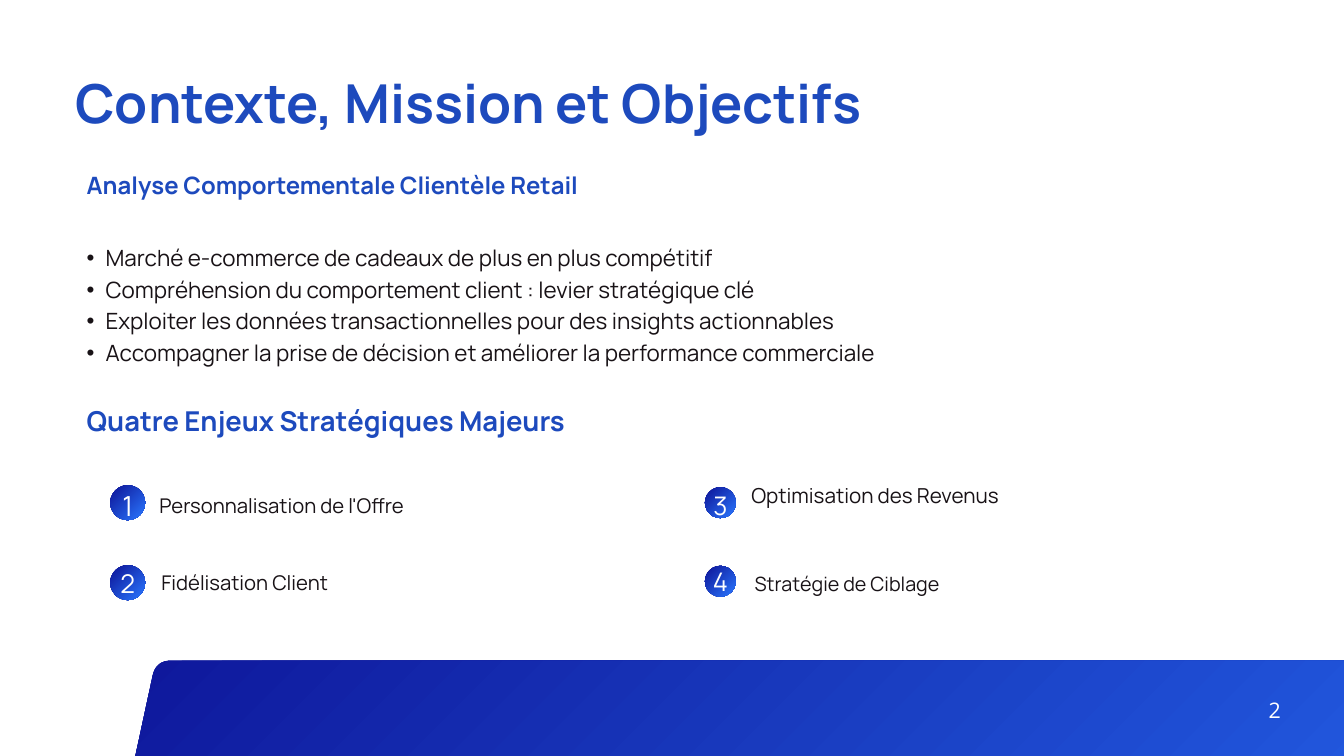
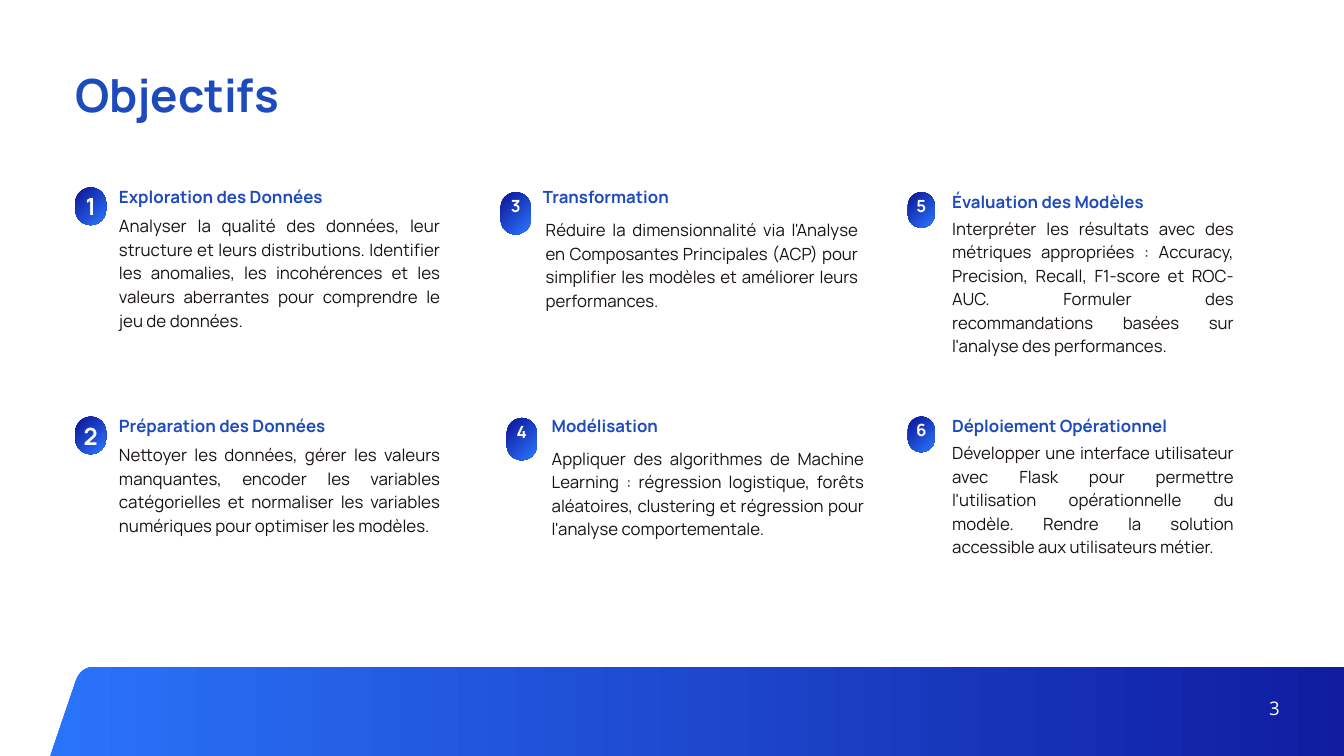
from pptx import Presentation
from pptx import util as u
from pptx.dml.color import RGBColor
from pptx.enum import shapes, text

# Shared look: a grid of 20 columns by 11.25 rows, colours and fonts
SLIDE_W, SLIDE_H = u.Inches(20), u.Inches(11.25)
COLS, ROWS = 20, 11.25
BLUE, INK, WHITE = "1D4ABD", "181216", "FFFFFF"
NAVY, AZURE = "0D1296", "2B79FF"
FONT, NUMBER_FONT = "Manrope", "Open Sans"
TITLE_ONLY, TITLE_AND_BODY = 5, 1
LEFT, CENTER, JUSTIFY = (text.PP_ALIGN.LEFT, text.PP_ALIGN.CENTER,
                         text.PP_ALIGN.JUSTIFY)

CONTEXT = [
    "Marché e-commerce de cadeaux de plus en plus compétitif",
    "Compréhension du comportement client : levier stratégique clé",
    "Exploiter les données transactionnelles pour des insights actionnables",
    "Accompagner la prise de décision et améliorer la performance commerciale",
]

# Badge (left, top, size), number (top, size), label (left, top, width, size)
STAKES = [
    ("Personnalisation de l'Offre",
     (1.64, 7.22, 0.52), (7.2, 29.6), (2.37, 7.28, 4.25, 21.7)),
    ("Fidélisation Client",
     (1.64, 8.41, 0.52), (8.37, 27.6), (2.4, 8.43, 3.21, 21.7)),
    ("Optimisation des Revenus",
     (10.49, 7.25, 0.46), (7.21, 27.4), (11.18, 7.13, 4.45, 22.1)),
    ("Stratégie de Ciblage",
     (10.49, 8.42, 0.46), (8.34, 27.4), (11.23, 8.45, 4.16, 21.1)),
]

# Columns of objectives: badge width and height, text width, sizes, items.
# Item: badge left and top, heading left and top, body left and top, texts
OBJECTIVES = [
    dict(badge=(0.46, 0.56), width=4.78, size=18.1, number_size=25.4, items=[
        ((1.12, 2.79), (1.77, 2.73), (1.77, 3.16), "Exploration des Données",
         "Analyser la qualité des données, leur structure et leurs "
         "distributions. Identifier les anomalies, les incohérences et les "
         "valeurs aberrantes pour comprendre le jeu de données."),
        ((1.12, 6.2), (1.77, 6.14), (1.77, 6.57), "Préparation des Données",
         "Nettoyer les données, gérer les valeurs manquantes, encoder les "
         "variables catégorielles et normaliser les variables numériques "
         "pour optimiser les modèles."),
    ]),
    dict(badge=(0.45, 0.63), width=4.65, size=18, number_size=18, items=[
        ((7.45, 2.86), (8.08, 2.73), (8.12, 3.22), "Transformation",
         "Réduire la dimensionnalité via l'Analyse en Composantes "
         "Principales (ACP) pour simplifier les modèles et améliorer leurs "
         "performances."),
        ((7.54, 6.22), (8.21, 6.14), (8.21, 6.62), "Modélisation",
         "Appliquer des algorithmes de Machine Learning : régression "
         "logistique, forêts aléatoires, clustering et régression pour "
         "l'analyse comportementale."),
    ]),
    dict(badge=(0.4, 0.53), width=4.19, size=18, number_size=18, items=[
        ((13.51, 2.86), (14.17, 2.8), (14.17, 3.2), "Évaluation des Modèles",
         "Interpréter les résultats avec des métriques appropriées : "
         "Accuracy, Precision, Recall, F1-score et ROC-AUC. Formuler des "
         "recommandations basées sur l'analyse des performances."),
        ((13.51, 6.2), (14.17, 6.14), (14.17, 6.54),
         "Déploiement Opérationnel",
         "Développer une interface utilisateur avec Flask pour permettre "
         "l'utilisation opérationnelle du modèle. Rendre la solution "
         "accessible aux utilisateurs métier."),
    ]),
]


def rgb(value):
    return RGBColor.from_string(value)


def col(n):
    return u.Emu(round(SLIDE_W * n / COLS))


def row(n):
    return u.Emu(round(SLIDE_H * n / ROWS))


def write(sp, lines, size, color=INK, bold=False, align=JUSTIFY, font=FONT,
          leading=1.4, wrap=True, bullet_indent=None):
    """Fill a shape's text frame, one paragraph per line."""
    tf = sp.text_frame
    tf.word_wrap = wrap
    tf.auto_size = text.MSO_AUTO_SIZE.SHAPE_TO_FIT_TEXT
    tf.vertical_anchor = text.MSO_ANCHOR.TOP
    tf.margin_left = tf.margin_right = tf.margin_top = tf.margin_bottom = 0
    for i, line in enumerate(lines):
        p = tf.add_paragraph() if i else tf.paragraphs[0]
        if bullet_indent:
            pPr = p._p.get_or_add_pPr()
            pPr.set("marL", str(bullet_indent))
            pPr.set("indent", str(-bullet_indent))
        p.alignment = align
        p.line_spacing = u.Pt(round(size * leading, 1))
        p.space_before = u.Pt(0)
        r = p.add_run()
        r.text = line
        r.font.name, r.font.size, r.font.bold = font, u.Pt(size), bold
        r.font.color.rgb = rgb(color)


def place(sp, left, top, width, height):
    sp.left, sp.top, sp.width, sp.height = (
        col(left), row(top), col(width), row(height))


def add_label(s, label, left, top, width, height, size, **style):
    sp = s.shapes.add_textbox(col(left), row(top), col(width), row(height))
    write(sp, [label], size, **style)


def paint(sp, start, end, angle):
    """Linear gradient, with the angle counted clockwise."""
    sp.shadow.inherit = False
    sp.line.fill.background()
    sp.fill.gradient()
    sp.fill.gradient_angle = (360 - angle) % 360
    for stop, color in zip(sp.fill.gradient_stops, (start, end)):
        stop.color.rgb = rgb(color)


def add_badge(s, number, left, top, width, height, number_top, size,
              bold=False):
    """Gradient pill with its number."""
    sp = s.shapes.add_shape(shapes.MSO_SHAPE.ROUNDED_RECTANGLE,
                            col(left), row(top), col(width), row(height))
    sp.adjustments[0] = 0.5
    paint(sp, NAVY, AZURE, 45)
    add_label(s, str(number), left + 0.1, number_top, width - 0.2, size / 50,
              size, color=WHITE, bold=bold, align=CENTER)


def round_corners(corners, radius, steps=8):
    """Points of a polygon whose corners are softened by quadratic curves."""
    def toward(a, b):
        length = ((b[0] - a[0]) ** 2 + (b[1] - a[1]) ** 2) ** 0.5
        return [a[k] + (b[k] - a[k]) * radius / length for k in (0, 1)]

    points = []
    for i, c in enumerate(corners):
        a = toward(c, corners[i - 1])
        b = toward(c, corners[(i + 1) % len(corners)])
        for t in (n / steps for n in range(steps + 1)):
            x, y = ((1 - t) ** 2 * a[k] + 2 * t * (1 - t) * c[k]
                    + t ** 2 * b[k] for k in (0, 1))
            points.append((col(x), row(y)))
    return points


def add_band(s, left, top, width, height, lean, start, end, angle):
    """Slanted footer band that bleeds off the slide."""
    bottom = top + height
    corners = [(left, top), (left + width, top),
               (left + width - lean, bottom), (left - lean, bottom)]
    points = round_corners(corners, 0.23)
    builder = s.shapes.build_freeform(*points[0], scale=1.0)
    builder.add_line_segments(points[1:], close=True)
    paint(builder.convert_to_shape(), start, end, angle)


def add_slide(prs, layout, title, title_box, title_size, band, number,
              number_size):
    """Slide with its title, footer band and page number."""
    s = prs.slides.add_slide(prs.slide_layouts[layout])
    place(s.shapes.title, *title_box)
    write(s.shapes.title, [title], title_size, color=BLUE, bold=True,
          align=LEFT, leading=1.08)
    add_band(s, **band)
    add_label(s, str(number), 18.88, 10.31, 0.17, 0.22, number_size,
              color=WHITE, align=CENTER, font=NUMBER_FONT, wrap=False)
    return s


def add_context_slide(prs):
    band = dict(left=2.32, top=9.83, width=20.2, height=9.48, lean=2.04,
                start=NAVY, end=AZURE, angle=45)
    s = add_slide(prs, TITLE_AND_BODY, "Contexte, Mission et Objectifs",
                  (1.12, 1.14, 13.36, 0.94), 57.5, band, 2, 23)
    # Context
    add_label(s, "Analyse Comportementale Clientèle Retail",
              1.29, 2.47, 7.85, 0.51, 25.6, color=BLUE, bold=True)
    body = s.placeholders[1]
    place(body, 1.29, 3.57, 15.8, 1.83)
    write(body, CONTEXT, 24, leading=1.404, bullet_indent=col(0.28))
    # Stakes
    add_label(s, "Quatre Enjeux Stratégiques Majeurs", 1.29, 6.06, 7.99, 0.49,
              29.3, color=BLUE, bold=True, align=LEFT, leading=1.1)
    for number, (label, badge, digit, box) in enumerate(STAKES, 1):
        left, top, size = badge
        add_badge(s, number, left, top, size, size, *digit)
        left, top, width, size = box
        add_label(s, label, left, top, width, 0.43, size)


def add_objectives_slide(prs):
    band = dict(left=1.2, top=9.92, width=21.19, height=5.22, lean=1.77,
                start=AZURE, end=NAVY, angle=0)
    s = add_slide(prs, TITLE_ONLY, "Objectifs", (1.12, 1.07, 8.45, 0.79),
                  48.9, band, 3, 20)
    number = 0
    for column in OBJECTIVES:
        width, size = column["width"], column["size"]
        for badge, head, body, heading, detail in column["items"]:
            number += 1
            add_badge(s, number, *badge, *column["badge"], badge[1],
                      column["number_size"], bold=True)
            add_label(s, heading, *head, width, 0.36, size, color=BLUE,
                      bold=True)
            add_label(s, detail, *body, width, 1.75, size)


def main():
    prs = Presentation()
    prs.slide_width, prs.slide_height = SLIDE_W, SLIDE_H
    add_context_slide(prs)
    add_objectives_slide(prs)
    prs.save("out.pptx")


if __name__ == "__main__":
    main()
